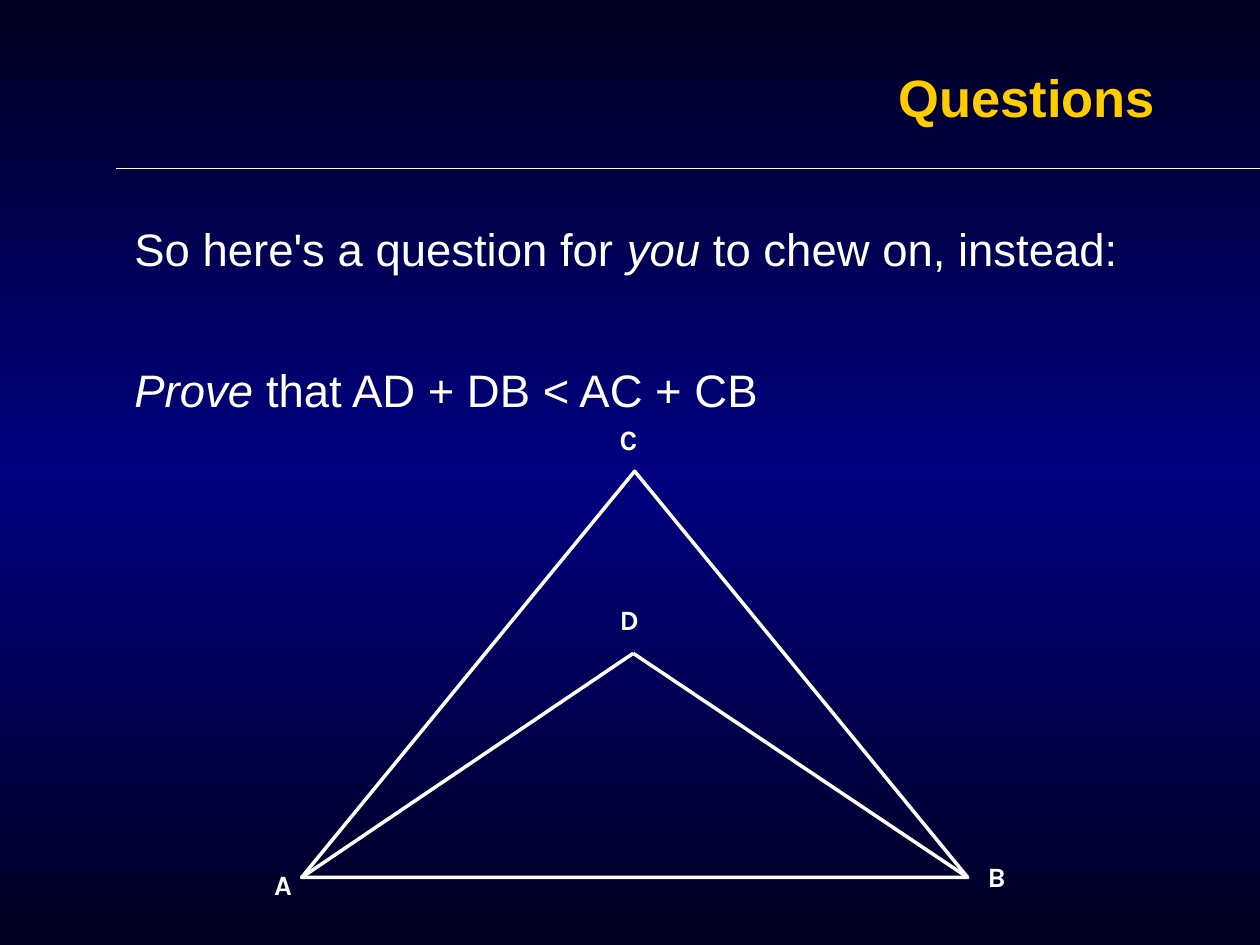
from copy import deepcopy

from pptx import Presentation
from pptx.dml.color import RGBColor
from pptx.enum.shapes import MSO_CONNECTOR as Connector, MSO_SHAPE as Shape
from pptx.enum.text import MSO_ANCHOR as Anchor, MSO_AUTO_SIZE as AutoSize, PP_ALIGN as Align
from pptx.oxml.ns import qn
from pptx.oxml.xmlchemy import OxmlElement
from pptx.util import Cm, Pt

COLORS = {"night": "000021", "navy": "000080", "title": "FFCC00", "white": "FFFFFF"}


def color(name):
    return RGBColor.from_string(COLORS[name])


class SlideBuilder:
    """Holds the slide and its style."""

    text_font = "Arial"
    label_font = "Karla"

    def __init__(self, slide):
        self.slide = slide

    def background(self, names):
        fill = self.slide.background.fill
        fill.gradient()
        fill.gradient_angle = 90
        stop_list = self.slide.element.find(".//" + qn("a:gsLst"))
        while len(stop_list) < len(names):
            stop_list.append(deepcopy(stop_list[-1]))
        for index, (stop, name) in enumerate(zip(fill.gradient_stops, names)):
            stop.position = index / (len(names) - 1)
            stop.color.rgb = color(name)

    def style(self, paragraph, size, font, color_name="white", bold=False):
        for run in paragraph.runs:
            run.font.size = Pt(size)
            run.font.name = font
            run.font.bold = bold
            run.font.color.rgb = color(color_name)

    def title(self, text, left, top, width, height):
        shape = self.slide.shapes.title
        shape.left, shape.top, shape.width, shape.height = map(Cm, (left, top, width, height))
        frame = shape.text_frame
        frame.text = text
        frame.vertical_anchor = Anchor.MIDDLE
        frame.auto_size = AutoSize.NONE
        paragraph = frame.paragraphs[0]
        paragraph.alignment = Align.RIGHT
        self.style(paragraph, 30, self.text_font, "title", bold=True)

    def text_frame(self, left, top, width, height):
        frame = self.slide.shapes.add_textbox(*map(Cm, (left, top, width, height))).text_frame
        frame.word_wrap = True
        return frame

    def body(self, paragraphs, left, top, width, height, gap):
        """Each paragraph is a list of (text, italic) pieces."""
        frame = self.text_frame(left, top, width, height)
        for index, pieces in enumerate(paragraphs):
            paragraph = frame.add_paragraph() if index else frame.paragraphs[0]
            paragraph.space_before = Pt(gap if index else 3.3)
            paragraph.space_after = Pt(4.9)
            for text, italic in pieces:
                run = paragraph.add_run()
                run.text = text
                run.font.italic = italic
            self.style(paragraph, 26, self.text_font)

    def label(self, text, left, top):
        frame = self.text_frame(left, top, 1.02, 0.86)
        frame.text = text
        frame.auto_size = AutoSize.SHAPE_TO_FIT_TEXT
        paragraph = frame.paragraphs[0]
        paragraph.line_spacing = 0.9
        self.style(paragraph, 16, self.label_font, bold=True)

    def line(self, start, end, width=2):
        connector = self.slide.shapes.add_connector(Connector.STRAIGHT, *map(Cm, start + end))
        connector.line.color.rgb = color("white")
        connector.line.width = Pt(width)
        connector.element.spPr.append(OxmlElement("a:effectLst"))

    def triangle(self, left, top, width, height):
        shape = self.slide.shapes.add_shape(
            Shape.ISOSCELES_TRIANGLE, *map(Cm, (left, top, width, height)))
        shape.shadow.inherit = False
        shape.fill.background()
        shape.line.color.rgb = color("white")
        shape.line.width = Pt(2)


def main():
    presentation = Presentation()
    presentation.slide_width, presentation.slide_height = Cm(25.4), Cm(19.05)
    title_only = presentation.slide_layouts[5]
    builder = SlideBuilder(presentation.slides.add_slide(title_only))

    # Background, heading and rule
    builder.background(["night", "navy", "night"])
    builder.line((2.33, 3.39), (25.4, 3.39), width=0.75)
    builder.title("Questions", 1.85, 1.09, 21.69, 1.7)

    # Question
    builder.body(
        [[("So here's a question for ", False), ("you", True), (" to chew on, instead:", False)],
         [("Prove", True), (" that AD + DB < AC + CB", False)]],
        2.46, 4.34, 20.47, 4.14, gap=44)

    # Triangle ABC with inner point D
    left, top, width, height = 6.08, 9.5, 13.43, 8.19
    point_a, point_b = (left, top + height), (left + width, top + height)
    point_d = (left + width / 2 - 0.03, 13.17)
    builder.triangle(left, top, width, height)
    for corner in (point_a, point_b):
        builder.line(point_d, corner)

    # Point names
    for name, x, y in (("A", 5.28, 17.45), ("C", 12.24, 8.46),
                       ("B", 19.66, 17.27), ("D", 12.24, 12.09)):
        builder.label(name, x, y)

    presentation.save("out.pptx")


if __name__ == "__main__":
    main()
